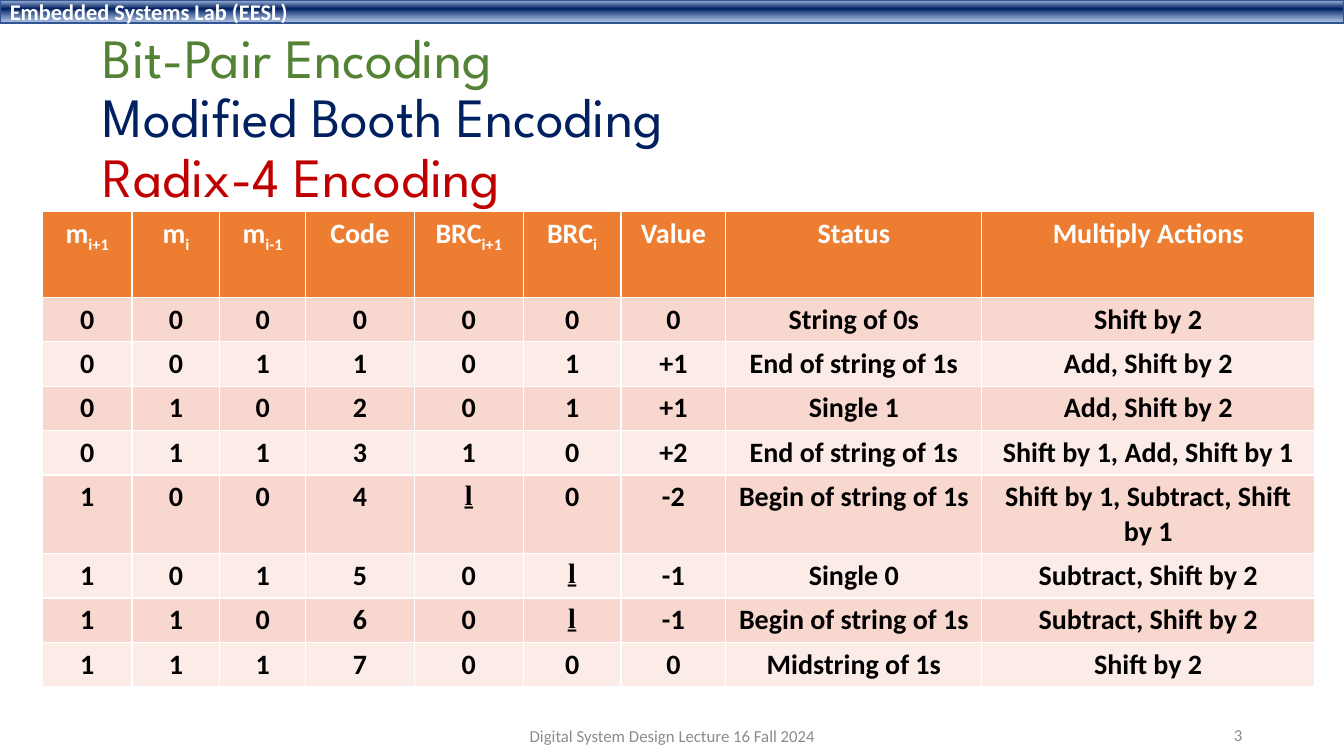
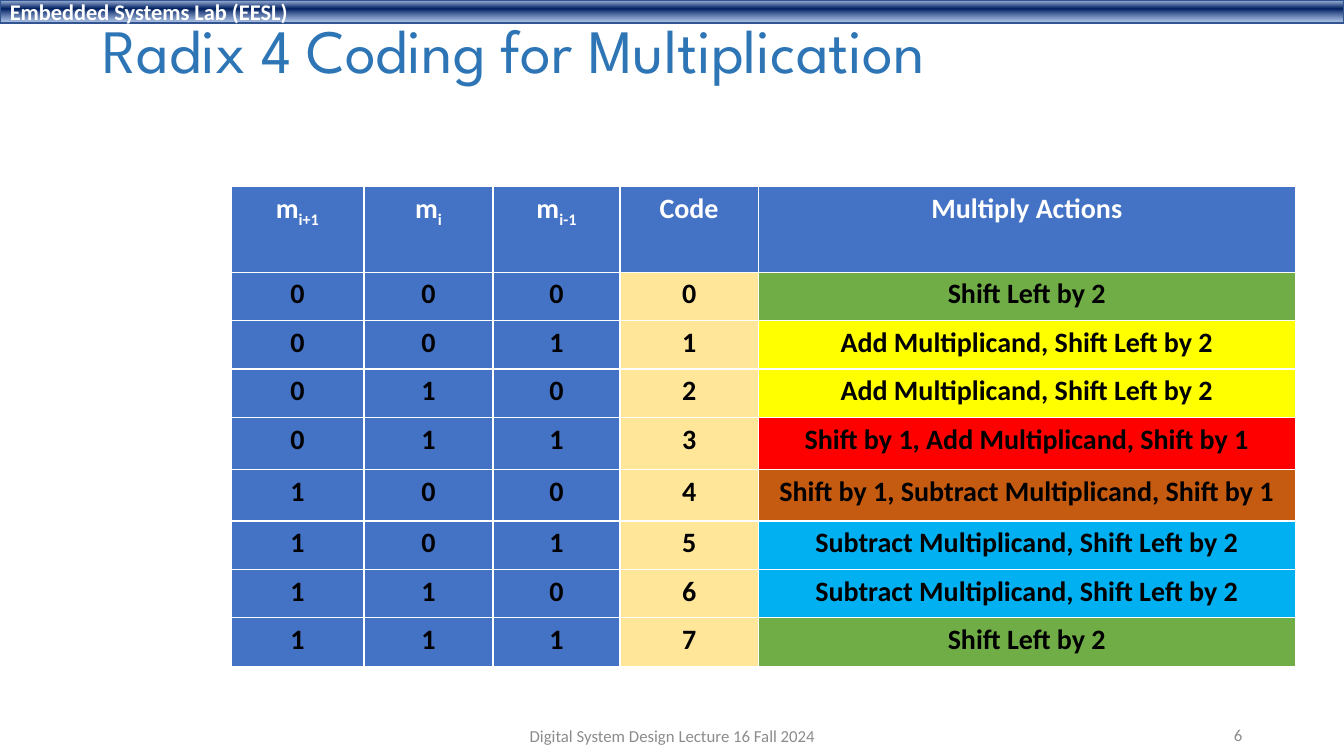
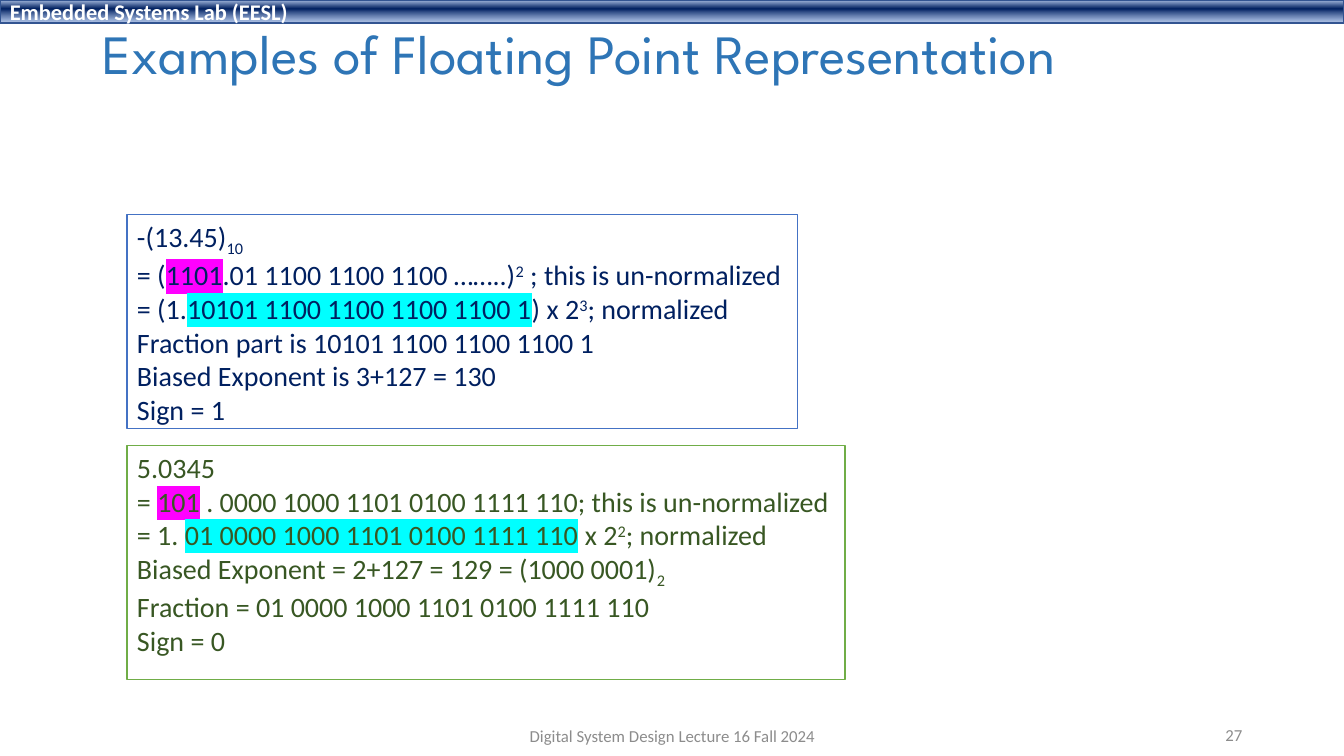
"""Builds three lecture slides on radix-4 recoding and floating point numbers."""
from lxml.etree import fromstring
from pptx import Presentation
from pptx.dml.color import RGBColor
from pptx.enum.shapes import MSO_SHAPE
from pptx.enum.text import MSO_ANCHOR, MSO_AUTO_SIZE, PP_ALIGN
from pptx.oxml.ns import nsdecls
from pptx.util import Inches, Pt

WIDTH, HEIGHT = 13.33, 7.5
BODY_FONT, TITLE_FONT = "Calibri", "League Spartan"
WHITE, BLACK, GREY = "FFFFFF", "000000", "8C8C8C"
NAVY, BLUE, TITLE_BLUE = "002060", "4472C4", "2E75B6"
GREEN, ORANGE, CREAM = "70AD47", "ED7D31", "FFE699"
BANDING = ("F8D7CE", "FCECE8")

BAND_TEXT = "Embedded Systems Lab (EESL)"
FOOTER_TEXT = "Digital System Design Lecture 16 Fall 2024"
BAND_STOPS = ((2, "ABC0E4", 100), (38, NAVY, 100), (93, "7E9ED6", 64))

SUB, SUP = {"baseline": -25}, {"baseline": 30}
PINK, CYAN = {"highlight": "FF00FF"}, {"highlight": "00FFFF"}
NEGATIVE_ONE = [("ḻ", {"name": "Times New Roman"})]

BIT_HEADERS = [["m", ("i+1", SUB)], ["m", ("i", SUB)], ["m", ("i-1", SUB)], ["Code"]]
RECODING_HEADERS = BIT_HEADERS + [
    ["BRC", ("i+1", SUB)], ["BRC", ("i", SUB)], ["Value"], ["Status"], ["Multiply Actions"]]
RECODING = [
    (["0"], ["0"], ["0"], ["String of 0s"], ["Shift by 2"]),
    (["0"], ["1"], ["+1"], ["End of string of 1s"], ["Add, Shift by 2"]),
    (["0"], ["1"], ["+1"], ["Single 1"], ["Add, Shift by 2"]),
    (["1"], ["0"], ["+2"], ["End of string of 1s"], ["Shift by 1, Add, Shift by 1"]),
    (NEGATIVE_ONE, ["0"], ["-2"], ["Begin of string of 1s"], ["Shift by 1, Subtract, Shift by 1"]),
    (["0"], NEGATIVE_ONE, ["-1"], ["Single 0"], ["Subtract, Shift by 2"]),
    (["0"], NEGATIVE_ONE, ["-1"], ["Begin of string of 1s"], ["Subtract, Shift by 2"]),
    (["0"], ["0"], ["0"], ["Midstring of 1s"], ["Shift by 2"]),
]
RECODING_COLUMNS = (0.89, 0.87, 0.85, 1.08, 1.08, 0.97, 1.04, 2.54, 3.3)
RECODING_ROWS = (0.85, 0.44, 0.44, 0.44, 0.44, 0.78, 0.44, 0.44, 0.44)

ACTION_FILLS = {
    "Shift Left by 2": GREEN,
    "Add Multiplicand, Shift Left by 2": "FFFF00",
    "Shift by 1, Add Multiplicand, Shift by 1": "FF0000",
    "Shift by 1, Subtract Multiplicand, Shift by 1": "C55A11",
    "Subtract Multiplicand, Shift Left by 2": "00B0F0",
}
SHIFT, ADD, SHIFT_ADD, SHIFT_SUBTRACT, SUBTRACT = ACTION_FILLS
ACTIONS = (SHIFT, ADD, ADD, SHIFT_ADD, SHIFT_SUBTRACT, SUBTRACT, SUBTRACT, SHIFT)
ACTION_COLUMNS = (1.32, 1.28, 1.26, 1.37, 5.33)
ACTION_ROWS = (0.85, 0.48, 0.48, 0.48, 0.52, 0.51, 0.48, 0.48, 0.48)

EXAMPLES = [
    {"at": (1.26, 2.13, 6.65, 2.12), "line": BLUE, "color": NAVY, "lines": [
        ["-(13.45)", ("10", SUB)],
        ["= (", ("1101", PINK), ".01 1100 1100 1100 ……..)", ("2", SUP), " ; this is un-normalized"],
        ["= (1.", ("10101 1100 1100 1100 1100 1", CYAN), ") x 2", ("3", SUP), "; normalized"],
        ["Fraction part is 10101 1100 1100 1100 1"],
        ["Biased Exponent is 3+127 = 130"],
        ["Sign = 1"]]},
    {"at": (1.26, 4.42, 7.12, 2.32), "line": GREEN, "color": "385723", "lines": [
        ["5.0345"],
        ["= ", ("101", PINK), " . 0000 1000 1101 0100 1111 110; this is un-normalized"],
        ["= 1. ", ("01 0000 1000 1101 0100 1111 110", CYAN), " x 2", ("2", SUP), "; normalized"],
        ["Biased Exponent = 2+127 = 129 = (1000 0001)", ("2", SUB)],
        ["Fraction = 01 0000 1000 1101 0100 1111 110"],
        ["Sign = 0"]]},
]


def rgb(value):
    """Return the colour for a hex string."""
    return RGBColor.from_string(value)


def inches(values):
    """Convert a sequence of inch values to lengths."""
    return [Inches(value) for value in values]


def write_runs(para, runs, size, color, bold=False, name=BODY_FONT):
    """Add runs, each a string or a pair of text and changed formats."""
    for run in runs:
        text, changes = (run, {}) if isinstance(run, str) else run
        span = para.add_run()
        span.text = text
        span.font.color.rgb = rgb(changes.get("color", color))
        formats = {"size": Pt(size), "bold": bold, "name": changes.get("name", name)}
        for key, value in formats.items():
            setattr(span.font, key, value)
        properties = span.font.fill._xPr
        if "baseline" in changes:
            properties.set("baseline", str(changes["baseline"] * 1000))
        if "highlight" in changes:
            properties.find("{*}solidFill").addnext(fromstring(
                f'<a:highlight {nsdecls("a")}><a:srgbClr val="{changes["highlight"]}"/></a:highlight>'))


def format_frame(frame, anchor=MSO_ANCHOR.MIDDLE):
    """Set wrapping, fixed size and anchor of a text frame."""
    formats = {"word_wrap": True, "auto_size": MSO_AUTO_SIZE.NONE, "vertical_anchor": anchor}
    for key, value in formats.items():
        setattr(frame, key, value)


def add_rectangle(page, at, line):
    """Add a white rectangle with a thin line."""
    box = page.shapes.add_shape(MSO_SHAPE.RECTANGLE, *inches(at))
    box.shadow.inherit = False
    box.fill.solid()
    box.fill.fore_color.rgb = rgb(WHITE)
    box.line.color.rgb = rgb(line)
    box.line.width = Pt(1)
    return box


def add_band(page):
    """Build the gradient band and place it on the layout of the page."""
    band = add_rectangle(page, (0, 0, WIDTH, 0.23), "325491")
    stops = "".join(
        f'<a:gs pos="{share * 1000}"><a:srgbClr val="{color}"><a:alpha val="{alpha * 1000}"/>'
        f'</a:srgbClr></a:gs>' for share, color, alpha in BAND_STOPS)
    solid = band.element.spPr.find("{*}solidFill")
    solid.getparent().replace(solid, fromstring(
        f'<a:gradFill {nsdecls("a")} rotWithShape="1"><a:gsLst>{stops}</a:gsLst>'
        '<a:lin ang="5400000" scaled="0"/></a:gradFill>'))
    format_frame(band.text_frame)
    para = band.text_frame.paragraphs[0]
    para.alignment = PP_ALIGN.LEFT
    write_runs(para, [BAND_TEXT], 16, WHITE, bold=True)
    band.element.nvSpPr.cNvPr.set("id", "99")
    page.slide_layout.shapes.element.append(band.element)


def add_footer(page, number):
    """Add the lecture name and the page number."""
    for text, at, alignment in (
            (FOOTER_TEXT, (4.42, 7.1, 4.5, 0.4), PP_ALIGN.CENTER),
            (number, (9.42, 7.09, 3, 0.4), PP_ALIGN.RIGHT)):
        box = page.shapes.add_textbox(*inches(at))
        format_frame(box.text_frame)
        para = box.text_frame.paragraphs[0]
        para.alignment = alignment
        write_runs(para, [text], 12, GREY)


def add_page(deck, number, title_lines, title_at, title_size):
    """Add a page with its title, one colour a line, and its footer."""
    page = deck.slides.add_slide(deck.slide_layouts[5])
    title = page.shapes.title
    for key, value in zip(("left", "top", "width", "height"), inches(title_at)):
        setattr(title, key, value)
    format_frame(title.text_frame)
    para = title.text_frame.paragraphs[0]
    para.alignment = PP_ALIGN.LEFT
    para.line_spacing = 0.9
    for index, (text, color) in enumerate(title_lines):
        if index:
            para.add_line_break()
        write_runs(para, [text], title_size, color, name=TITLE_FONT)
    add_footer(page, number)
    return page


def add_grid(page, left, top, columns, rows, cells, fill_of):
    """Add a table whose cell fills come from fill_of(row, column)."""
    table = page.shapes.add_table(
        len(rows), len(columns), *inches((left, top, sum(columns), sum(rows)))).table
    for column, width in zip(table.columns, inches(columns)):
        column.width = width
    for row, height in zip(table.rows, inches(rows)):
        row.height = height
    for row, line in enumerate(cells):
        for column, runs in enumerate(line):
            cell = table.cell(row, column)
            cell.fill.solid()
            cell.fill.fore_color.rgb = rgb(fill_of(row, column))
            para = cell.text_frame.paragraphs[0]
            para.alignment = PP_ALIGN.CENTER
            write_runs(para, runs, 20, BLACK if row else WHITE, bold=True)


def code_cells(code):
    """Return the three bits and the code itself as cells."""
    return [[bit] for bit in f"{code:03b}"] + [[str(code)]]


def recoding_fill(row, column):
    """Return the header or banded fill of the recoding table."""
    return BANDING[(row - 1) % 2] if row else ORANGE


def action_fill(row, column):
    """Return the fill of the action table by column and action."""
    if row == 0 or column < 3:
        return BLUE
    return CREAM if column == 3 else ACTION_FILLS[ACTIONS[row - 1]]


def add_example(page, example):
    """Add an outlined box with a worked example."""
    box = add_rectangle(page, example["at"], example["line"])
    frame = box.text_frame
    format_frame(frame, MSO_ANCHOR.TOP)
    for index, runs in enumerate(example["lines"]):
        para = frame.add_paragraph() if index else frame.paragraphs[0]
        para.alignment = PP_ALIGN.LEFT
        write_runs(para, runs, 20, example["color"])


def main():
    """Build and save the deck."""
    deck = Presentation()
    deck.slide_width, deck.slide_height = inches((WIDTH, HEIGHT))

    page = add_page(deck, "3", [
        ("Bit-Pair Encoding", "548235"), ("Modified Booth Encoding", NAVY),
        ("Radix-4 Encoding", "C00000")], (0.92, 0.28, 11.5, 1.82), 39.6)
    add_band(page)
    cells = [RECODING_HEADERS] + [code_cells(code) + list(row) for code, row in enumerate(RECODING)]
    add_grid(page, 0.42, 2.1, RECODING_COLUMNS, RECODING_ROWS, cells, recoding_fill)

    page = add_page(deck, "6", [("Radix 4 Coding for Multiplication", TITLE_BLUE)],
                    (0.92, 0.15, 11.5, 0.77), 44)
    cells = [BIT_HEADERS + [["Multiply Actions"]]]
    cells += [code_cells(code) + [[action]] for code, action in enumerate(ACTIONS)]
    add_grid(page, 2.29, 1.85, ACTION_COLUMNS, ACTION_ROWS, cells, action_fill)

    page = add_page(deck, "27", [("Examples of Floating Point Representation", TITLE_BLUE)],
                    (0.92, 0.15, 12.18, 0.82), 39.6)
    for example in EXAMPLES:
        add_example(page, example)

    deck.save("out.pptx")


if __name__ == "__main__":
    main()
